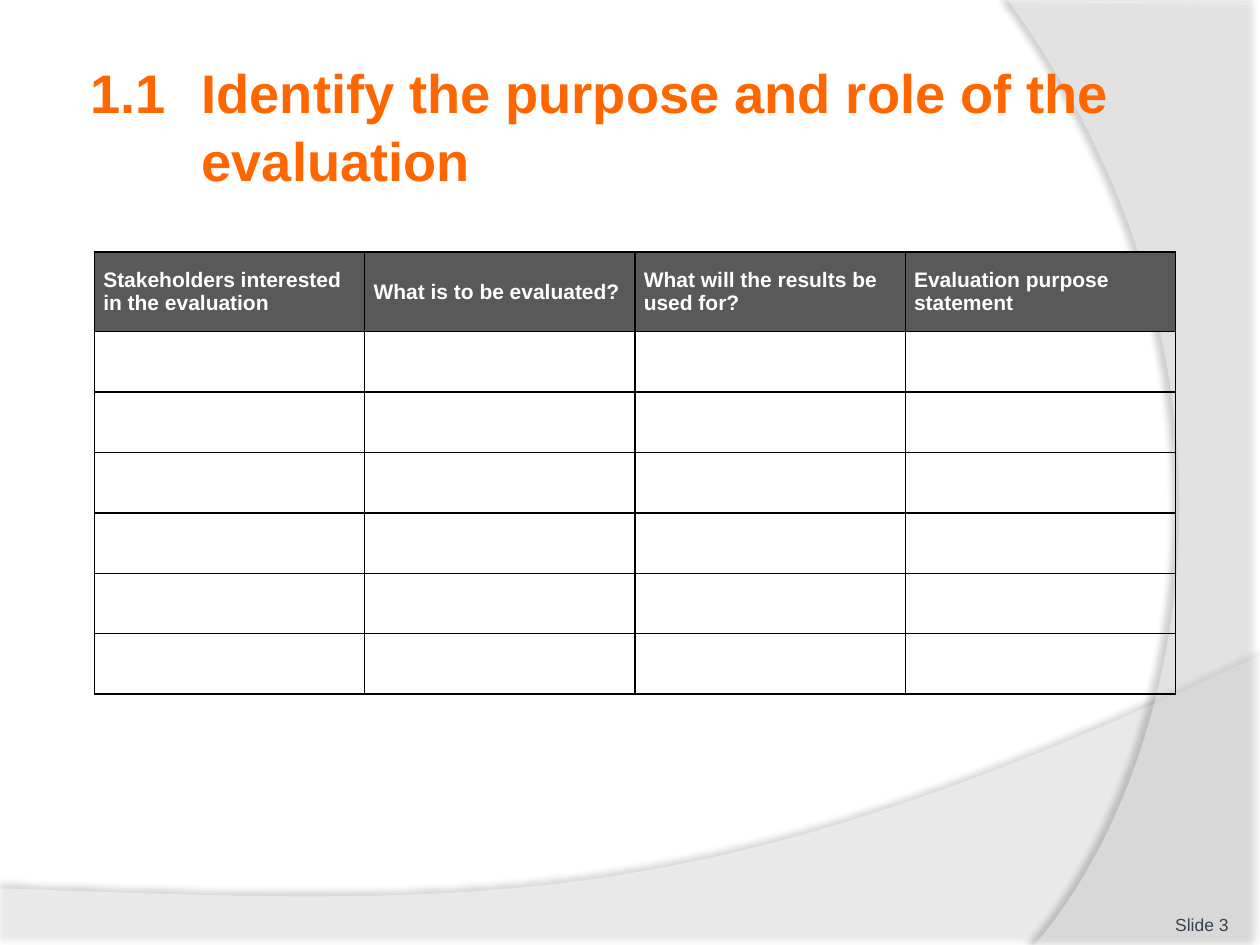
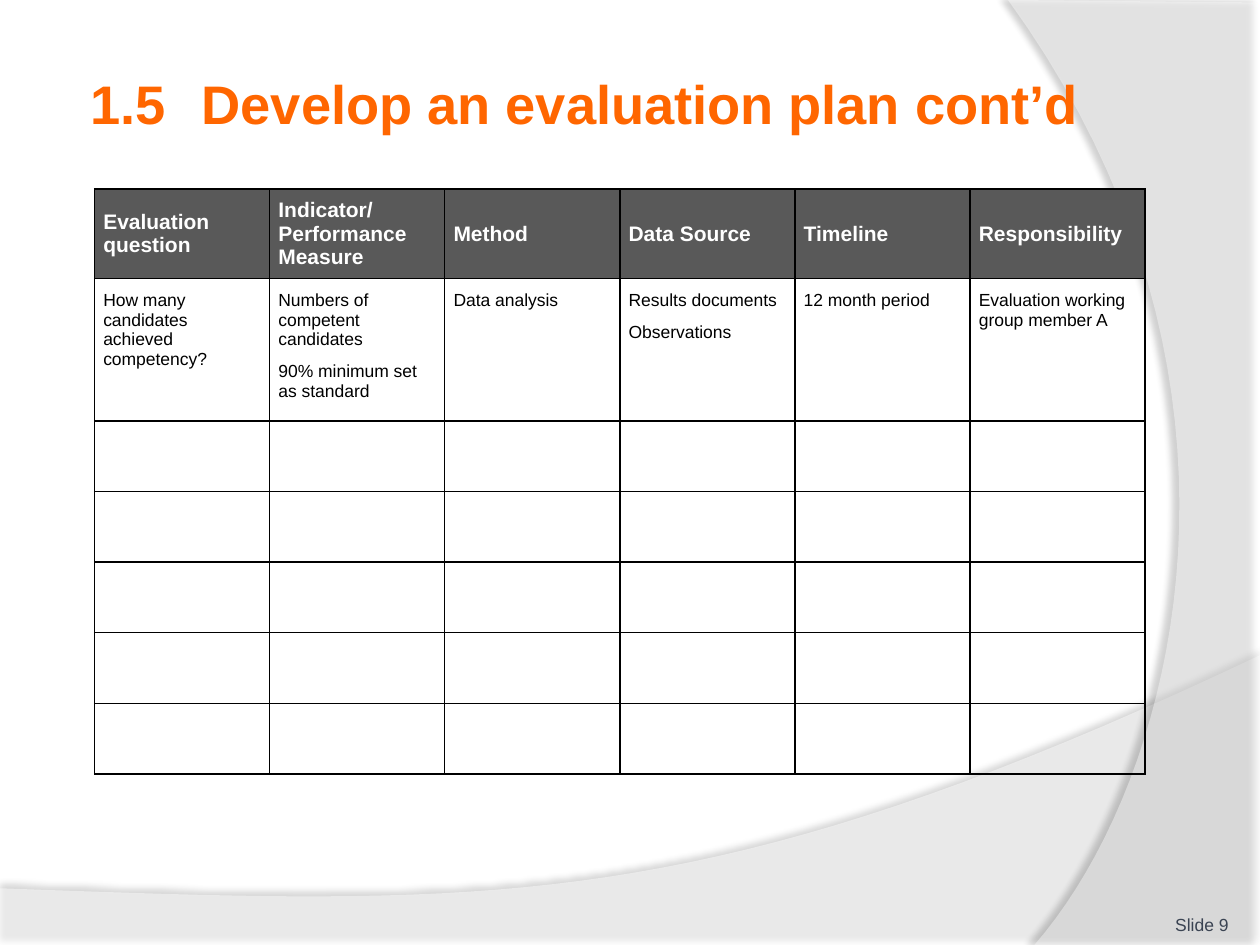
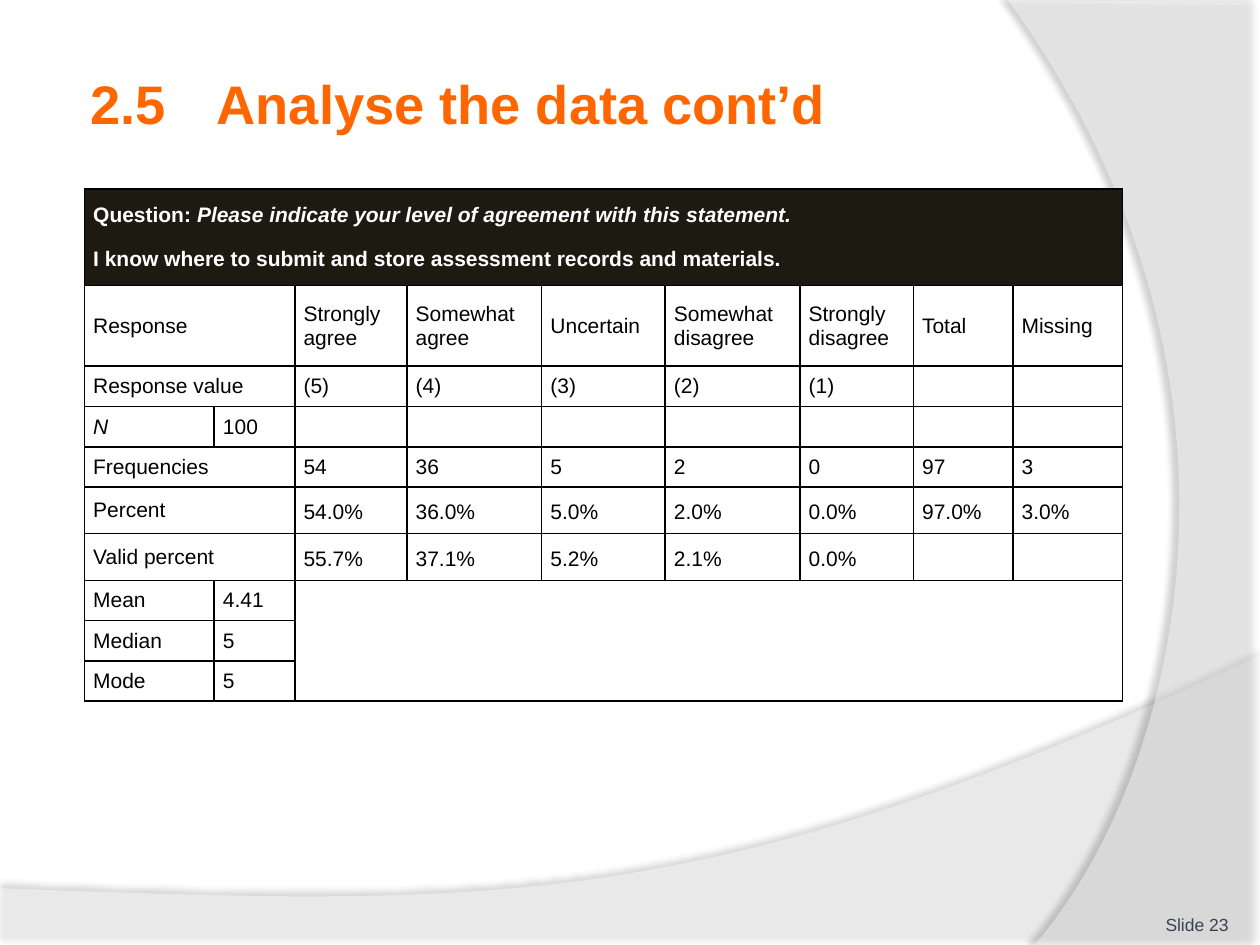
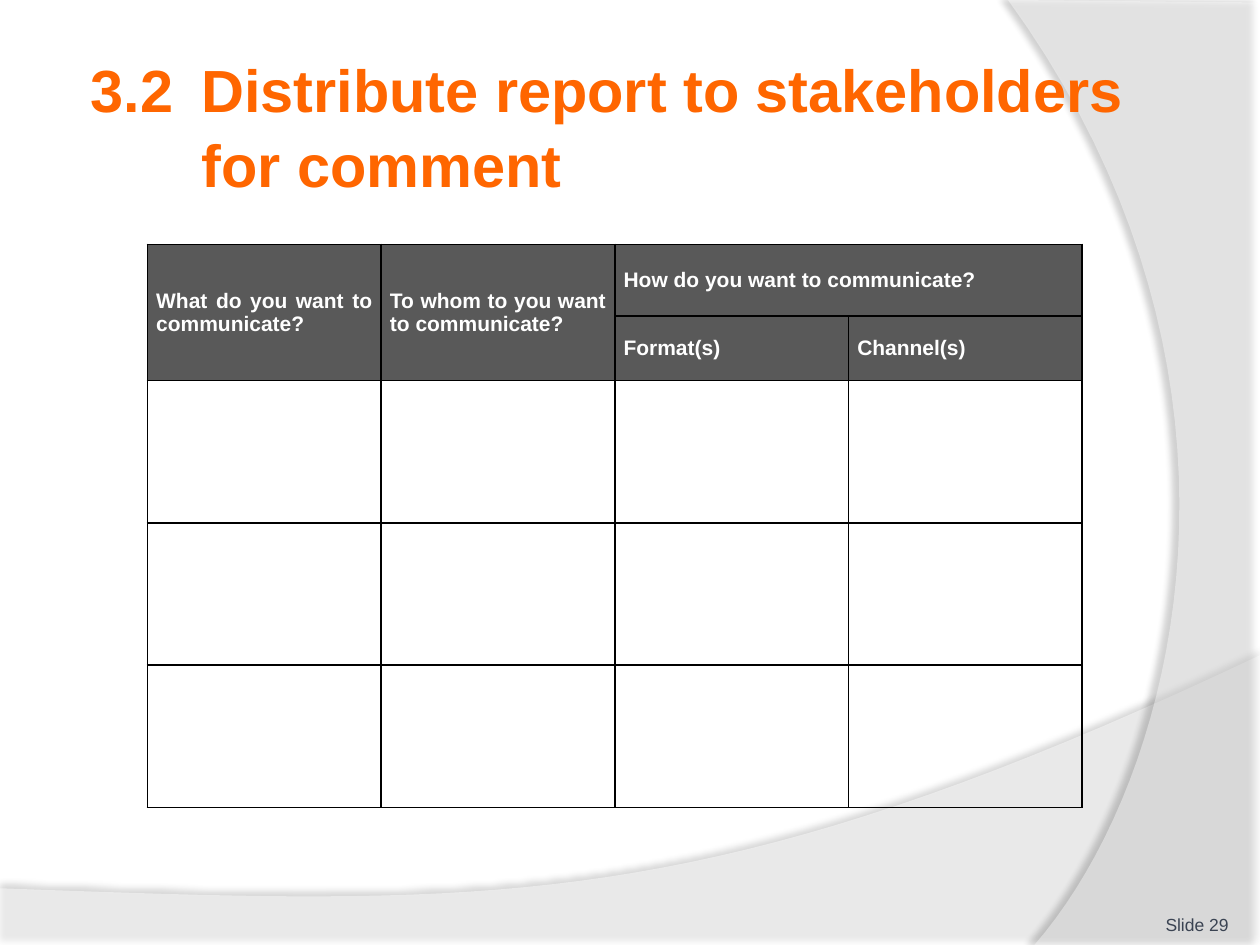
import pptx
import pptx.util
import pptx.dml.color
import pptx.enum.text
import pptx.oxml
import pptx.oxml.ns
from pptx.util import Inches

FONT = "Arial"
ORANGE, SLATE, GREY, DARK = "FF6600", "3A4352", "595959", "1D1B11"
WHITE, BLACK = "FFFFFF", "000000"
LEFT = pptx.enum.text.PP_ALIGN.LEFT
RIGHT = pptx.enum.text.PP_ALIGN.RIGHT
JUSTIFY = pptx.enum.text.PP_ALIGN.JUSTIFY
TOP = pptx.enum.text.MSO_ANCHOR.TOP
MIDDLE = pptx.enum.text.MSO_ANCHOR.MIDDLE
BOTTOM = pptx.enum.text.MSO_ANCHOR.BOTTOM
NAMESPACE = pptx.oxml.ns.nsdecls("a")


def color(hex_value):
    return pptx.dml.color.RGBColor.from_string(hex_value)


def format_runs(paragraph, size, hex_value, bold=False):
    for run in paragraph.runs:
        run.font.name = FONT
        run.font.size = pptx.util.Pt(size)
        run.font.bold = bold
        run.font.color.rgb = color(hex_value)


presentation = pptx.Presentation()
presentation.slide_width = Inches(10)
presentation.slide_height = Inches(7.5)
title_only = presentation.slide_layouts[5]

# Content of each slide; rows without text stay blank
slides = [
    dict(number=3, title="1.1\tIdentify the purpose and role of the evaluation",
         title_size=31, title_width=8.75, title_height=1.25, hanging=0.88,
         table=(0.75, 2), columns=[2.145] * 4, rows=[0.63] + [0.48] * 6,
         header_rows=1, header_fill=GREY, header_align=LEFT,
         cells=[["Stakeholders interested in the evaluation", "What is to be evaluated?",
                 "What will the results be used for?", "Evaluation purpose statement"]]),
    dict(number=9, title="1.5\tDevelop an evaluation plan cont’d",
         title_size=31, title_width=9.08, title_height=0.89, hanging=0.88,
         table=(0.75, 1.5), columns=[1.39] * 6, rows=[0.71, 1.12] + [0.56] * 5,
         header_rows=1, header_fill=GREY, header_align=JUSTIFY,
         body_size=10, body_anchor=TOP, body_margin=0.1,
         cells=[["Evaluation question", "Indicator/ Performance Measure", "Method",
                 "Data Source", "Timeline", "Responsibility"],
                ["How many candidates achieved competency?",
                 "Numbers of competent candidates\n90% minimum set as standard",
                 "Data analysis", "Results documents\nObservations",
                 "12 month period", "Evaluation working group member A"]]),
    dict(number=23, title="2.5\tAnalyse the data cont’d",
         title_size=31, title_width=8.17, title_height=0.89, hanging=0,
         table=(0.67, 1.5), columns=[1.03, 0.64, 0.89, 1.07, 0.98, 1.07, 0.9, 0.79, 0.87],
         rows=[0.74, 0.64, 0.32, 0.32, 0.32, 0.37, 0.37, 0.32, 0.32, 0.32],
         header_rows=1, header_fill=DARK, header_align=LEFT, header_margin=0.1,
         space_after=8, spaced_rows=(5, 6),
         merges=[(0, 0, 0, 8), (7, 2, 9, 8)] + [(row, 0, row, 1) for row in (1, 2, 4, 5, 6)],
         cells=[["Question: \nI know where to submit and store assessment records and materials."],
                ["Response", "", "Strongly\vagree", "Somewhat\vagree", "Uncertain",
                 "Somewhat\vdisagree", "Strongly\vdisagree", "Total", "Missing"],
                ["Response value", "", "(5)", "(4)", "(3)", "(2)", "(1)"],
                ["N", "100"],
                ["Frequencies", "", "54", "36", "5", "2", "0", "97", "3"],
                ["Percent", "", "54.0%", "36.0%", "5.0%", "2.0%", "0.0%", "97.0%", "3.0%"],
                ["Valid percent", "", "55.7%", "37.1%", "5.2%", "2.1%", "0.0%"],
                ["Mean", "4.41"],
                ["Median", "5"],
                ["Mode", "5"]]),
    dict(number=29, title="3.2\tDistribute report to stakeholders for comment",
         title_size=34, title_width=8.91, title_height=1.25, hanging=0.88,
         table=(1.17, 1.94), columns=[1.855] * 4, rows=[0.57, 0.51] + [1.13] * 3,
         header_rows=2, header_fill=GREY, header_align=JUSTIFY,
         merges=[(0, 0, 1, 0), (0, 1, 1, 1), (0, 2, 0, 3)],
         cells=[["What do you want to communicate?", "To whom to you want to communicate?",
                 "How do you want to communicate?"],
                ["", "", "Format(s)", "Channel(s)"]]),
]

tables = []
for content in slides:
    slide = presentation.slides.add_slide(title_only)

    # Title
    title = slide.shapes.title
    title.left, title.top = Inches(0.67), Inches(0.36)
    title.width, title.height = Inches(content["title_width"]), Inches(content["title_height"])
    frame = title.text_frame
    frame.text = content["title"]
    frame.word_wrap = True
    frame.auto_size = pptx.enum.text.MSO_AUTO_SIZE.NONE
    frame.vertical_anchor = MIDDLE
    frame.margin_left = frame.margin_right = Inches(0.05)
    frame.margin_top = frame.margin_bottom = Inches(0.05)
    paragraph = frame.paragraphs[0]
    paragraph.alignment = LEFT
    paragraph.line_spacing = 1.05
    properties = paragraph.runs[0].font  # run fonts are set below
    indent = Inches(content["hanging"])
    paragraph_properties = title.element.find(".//" + pptx.oxml.ns.qn("a:pPr"))
    paragraph_properties.set("marL", str(indent))
    paragraph_properties.set("indent", str(-indent))
    format_runs(paragraph, content["title_size"], ORANGE, bold=True)

    # Slide number
    footer = slide.shapes.add_textbox(Inches(8.92), Inches(7.02), Inches(0.83), Inches(0.4))
    frame = footer.text_frame
    frame.text = f"Slide {content['number']}"
    frame.word_wrap = True
    frame.vertical_anchor = BOTTOM
    frame.margin_left = frame.margin_right = frame.margin_top = frame.margin_bottom = 0
    frame.paragraphs[0].alignment = RIGHT
    format_runs(frame.paragraphs[0], 10, SLATE)

    # Table grid
    rows, columns = content["rows"], content["columns"]
    left, top = content["table"]
    graphic_frame = slide.shapes.add_table(
        len(rows), len(columns), Inches(left), Inches(top),
        Inches(sum(columns)), Inches(sum(rows)))
    table = graphic_frame.table
    tables.append(table)
    table.first_row = table.horz_banding = False
    for column, width in zip(table.columns, columns):
        column.width = Inches(width)
    for row, height in zip(table.rows, rows):
        row.height = Inches(height)

    # Table cells
    for row_index in range(len(rows)):
        is_header = row_index < content["header_rows"]
        texts = content["cells"][row_index] if row_index < len(content["cells"]) else []
        for column_index in range(len(columns)):
            cell = table.cell(row_index, column_index)
            cell.margin_left = cell.margin_right = Inches(0.07)
            margin = content.get("header_margin" if is_header else "body_margin", 0)
            cell.margin_top = cell.margin_bottom = Inches(margin)
            cell.vertical_anchor = MIDDLE if is_header else content.get("body_anchor", MIDDLE)
            if is_header:
                cell.fill.solid()
                cell.fill.fore_color.rgb = color(content["header_fill"])
            else:
                cell.fill.background()
            if column_index >= len(texts) or not texts[column_index]:
                continue
            cell.text_frame.text = texts[column_index]
            for index, paragraph in enumerate(cell.text_frame.paragraphs):
                paragraph.alignment = content["header_align"] if is_header else LEFT
                if row_index in content.get("spaced_rows", ()) and column_index > 1:
                    paragraph.line_spacing = 1.15
                else:
                    paragraph.space_after = pptx.util.Pt(content.get("space_after", 4))
                if index > 0:
                    paragraph.space_before = pptx.util.Pt(4 if is_header else 3)
                if is_header:
                    format_runs(paragraph, 12, WHITE, bold=True)
                else:
                    format_runs(paragraph, content.get("body_size", 12), BLACK)

    # Cell borders and merged cells
    for cell_properties in graphic_frame.element.iter(pptx.oxml.ns.qn("a:tcPr")):
        for position, side in enumerate(("lnL", "lnR", "lnT", "lnB")):
            cell_properties.insert(position, pptx.oxml.parse_xml(
                f'<a:{side} {NAMESPACE} w="12700"><a:solidFill><a:srgbClr val="{BLACK}"/>'
                f'</a:solidFill></a:{side}>'))
    for first_row, first_column, last_row, last_column in content.get("merges", []):
        table.cell(first_row, first_column).merge(table.cell(last_row, last_column))

# Italics in the survey table
survey = tables[2]
question = survey.cell(0, 0).text_frame.paragraphs[0]
statement = question.add_run()
statement.text = "Please indicate your level of agreement with this statement."
format_runs(question, 12, WHITE, bold=True)
statement.font.italic = True
survey.cell(3, 0).text_frame.paragraphs[0].runs[0].font.italic = True

# Two translucent waves, moved to the slide master so that all slides share them:
# corners before the curve, Bezier points, opacity, shadow opacity, distance, direction
waves = [
    ([(0, 7.05), (0, 7.51), (10, 7.51), (10, 5.2)],
     [(10, 5.2), (5.59, 7.29), (3.91, 7.19), (0, 7.05)], 45, 35, 3.5, 270),
    ([(10, 0.02), (10, 7.5), (8.21, 7.5)],
     [(8.21, 7.5), (9.35, 6.19), (10.18, 3), (8, 0)], 40, 45, 4, 180),
]
STEPS = 40
for position, (corners, bezier, opacity, shadow_opacity, distance, direction) in enumerate(waves):
    outline = list(corners)
    for step in range(1, STEPS + 1):
        t = step / STEPS
        weights = ((1 - t) ** 3, 3 * t * (1 - t) ** 2, 3 * t ** 2 * (1 - t), t ** 3)
        outline.append(tuple(sum(weight * point[axis] for weight, point in zip(weights, bezier))
                             for axis in (0, 1)))
    points = [(Inches(x), Inches(y)) for x, y in outline]
    builder = slide.shapes.build_freeform(*points[0])
    builder.add_line_segments(points[1:], close=True)
    wave = builder.convert_to_shape()
    wave.name = f"Wave {position + 1}"
    wave.fill.solid()
    wave.fill.fore_color.rgb = color(WHITE)
    wave.line.fill.background()
    wave.shadow.inherit = False
    wave.element.find(".//" + pptx.oxml.ns.qn("a:srgbClr")).append(
        pptx.oxml.parse_xml(f'<a:alpha {NAMESPACE} val="{opacity * 1000}"/>'))
    wave.element.find(".//" + pptx.oxml.ns.qn("a:effectLst")).append(pptx.oxml.parse_xml(
        f'<a:outerShdw {NAMESPACE} blurRad="{pptx.util.Pt(4)}" dist="{pptx.util.Pt(distance)}" '
        f'dir="{direction * 60000}" algn="ctr" rotWithShape="0"><a:srgbClr val="{BLACK}">'
        f'<a:alpha val="{shadow_opacity * 1000}"/></a:srgbClr></a:outerShdw>'))
    presentation.slide_master.shapes.element.insert(2 + position, wave.element)

presentation.save("out.pptx")
